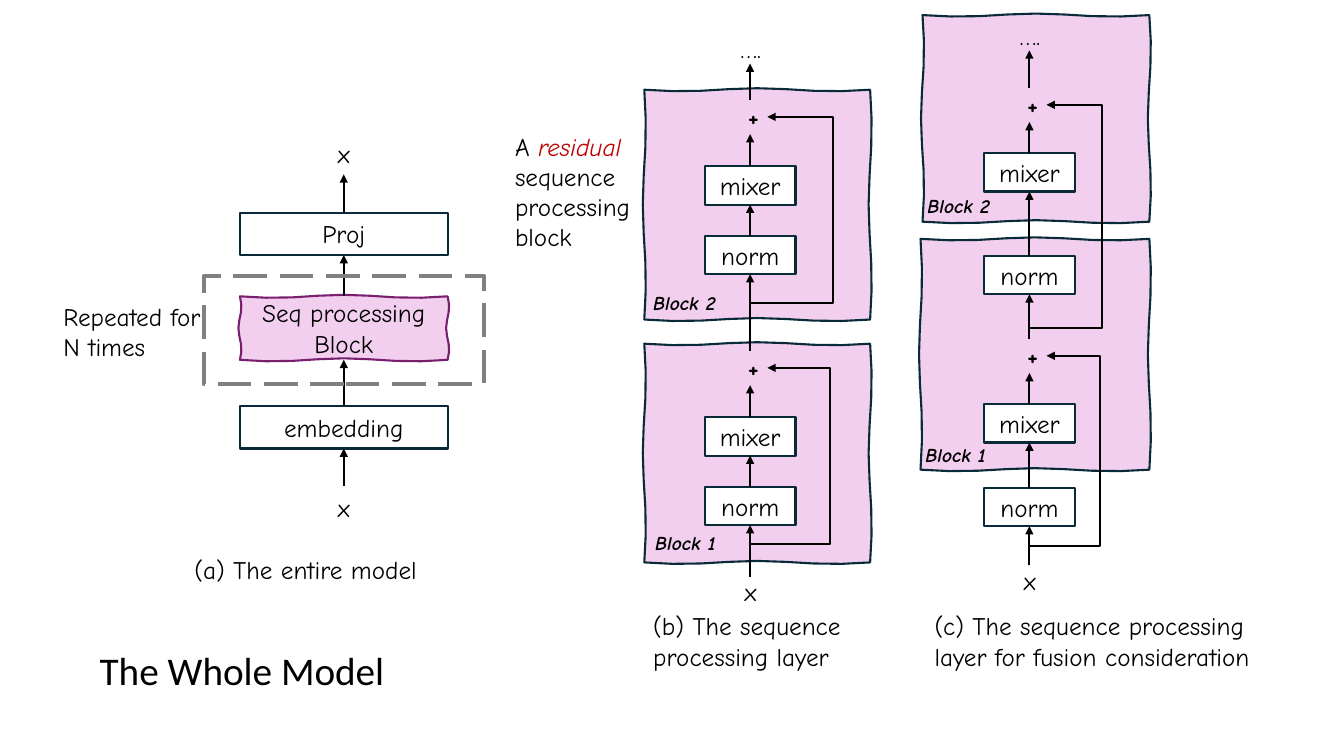
from math import pi, sin

from pptx import Presentation
from pptx.dml.color import RGBColor
from pptx.enum.dml import MSO_LINE
from pptx.enum.shapes import MSO_CONNECTOR, MSO_SHAPE
from pptx.enum.text import MSO_ANCHOR, MSO_AUTO_SIZE, PP_ALIGN
from pptx.oxml.ns import qn
from pptx.oxml.xmlchemy import OxmlElement
from pptx.util import Pt

PX = 9144
FONT = "Comic Neue"
BLACK = RGBColor(0, 0, 0)
WHITE = RGBColor(255, 255, 255)
RED = RGBColor(0xC0, 0, 0)
NAVY = RGBColor(0x09, 0x2A, 0x39)
PLUM = RGBColor(0x78, 0x20, 0x6E)
PINK = RGBColor(0xF2, 0xCF, 0xEE)
GRAY = RGBColor(0x80, 0x80, 0x80)
RECT, OVAL = MSO_SHAPE.RECTANGLE, MSO_SHAPE.OVAL
STRAIGHT, ELBOW = MSO_CONNECTOR.STRAIGHT, MSO_CONNECTOR.ELBOW
LEFT, CENTER = PP_ALIGN.LEFT, PP_ALIGN.CENTER
TOP, MIDDLE = MSO_ANCHOR.TOP, MSO_ANCHOR.MIDDLE

TITLE = ("The Whole Model", (36, 636, 408, 57))
CAPTIONS = [
    ("(a) The entire model", (183, 545, 303, 40)),
    ("(b) The sequence processing layer", (638, 601, 285, 71)),
    ("(c) The sequence processing layer for fusion consideration", (917, 601, 371, 71)),
    ("Repeated for N times", (53, 294, 164, 71)),
]
RESIDUAL = [("A ", {}), ("residual ", {"color": RED, "italic": True}),
            ("sequence processing block", {})]
RESIDUAL_AT = (501, 125, 186, 131)

MODEL_X, MODEL_W, MODEL_H = 238, 206, 42
MODEL_BOXES = [("embedding", 403), ("Proj", 211)]
MODEL_ENDS = [482, 131]
SEQ_BLOCK = ("Seq processing Block", (238, 294, 206, 63))
REPEAT_FRAME = (202, 274, 278, 107)
MODEL_ARROWS = [(482, 445), (403, 357), (294, 253), (211, 173)]

COLUMNS = [
    {"axis": 744, "x": 572, "dots": 33,
     "blocks": [(639, 89, 224, 228), (639, 341, 224, 217)],
     "labels": [("Block 1", 640, 522), ("Block 2", 638, 284)],
     "units": [dict(norm=483, mixer=414, plus=348, tap=540, bend=823),
               dict(norm=234, mixer=165, plus=99, tap=301, bend=826)]},
    {"axis": 1021, "x": 561, "dots": 20,
     "blocks": [(913, 237, 227, 229), (915, 15, 225, 205)],
     "labels": [("Block 1", 908, 434), ("Block 2", 910, 187)],
     "units": [dict(norm=484, mixer=401, plus=336, tap=542, bend=1091),
               dict(norm=254, mixer=152, plus=87, tap=325, bend=1093)]},
]
BOX_W, BOX_H, PLUS, END_W, END_H = 90, 38, 34, 83, 30
STEPS, WOBBLE = 8, 1.5


def emu(values):
    return [v * PX for v in values]


def write(sp, runs, align=CENTER, anchor=MIDDLE, size=18, bold=False, italic=False, font=FONT):
    tf = sp.text_frame
    tf.word_wrap = True
    tf.vertical_anchor = anchor
    p = tf.paragraphs[0]
    p.alignment = align
    for text, style in runs:
        r = p.add_run()
        r.text = text
        r.font.name, r.font.size = font, Pt(size)
        r.font.bold, r.font.italic = bold, style.get("italic", italic)
        r.font.color.rgb = style.get("color", BLACK)


def textbox(at, runs, **style):
    write(s.shapes.add_textbox(*emu(at)), runs, **style)


def paint(sp, fill, line, width=1.5):
    sp.shadow.inherit = False
    if fill is None:
        sp.fill.background()
    else:
        sp.fill.solid()
        sp.fill.fore_color.rgb = fill
    if line is None:
        sp.line.fill.background()
    else:
        sp.line.color.rgb = line
        sp.line.width = Pt(width)


def shape(kind, at, fill=None, line=None, text=None, width=1.5, bold=False):
    sp = s.shapes.add_shape(kind, *emu(at))
    paint(sp, fill, line, width)
    if text:
        write(sp, [(text, {})], bold=bold)
    return sp


def sketch(at, line):
    x, y, w, h = at
    wave = [(i / STEPS, WOBBLE * sin(3 * pi * i / STEPS)) for i in range(STEPS)]
    points = [(x + w * t, y + d) for t, d in wave]
    points += [(x + w + d, y + h * t) for t, d in wave]
    points += [(x + w - w * t, y + h + d) for t, d in wave]
    points += [(x + d, y + h - h * t) for t, d in wave]
    points = [(round(a * PX), round(b * PX)) for a, b in points]
    builder = s.shapes.build_freeform(*points[0], scale=1.0)
    builder.add_line_segments(points[1:], close=True)
    sp = builder.convert_to_shape()
    paint(sp, PINK, line)
    return sp


def arrow(kind, *ends):
    c = s.shapes.add_connector(kind, *emu(ends))
    c.line.color.rgb = BLACK
    c.line.width = Pt(1.5)
    spPr = c.element.spPr
    head = OxmlElement("a:tailEnd")
    head.set("type", "triangle")
    spPr.find(qn("a:ln")).append(head)
    spPr.append(OxmlElement("a:effectLst"))
    return spPr


def skip(x1, y1, x2, y2, bend):
    spPr = arrow(ELBOW, x1, y1, x2, y2)
    gd = OxmlElement("a:gd")
    gd.set("name", "adj1")
    gd.set("fmla", f"val {round((bend - x1) / (x2 - x1) * 100000)}")
    spPr.find(qn("a:prstGeom")).get_or_add_avLst().append(gd)


def draw_model():
    for text, y in MODEL_BOXES:
        shape(RECT, (MODEL_X, y, MODEL_W, MODEL_H), line=NAVY, text=text)
    text, at = SEQ_BLOCK
    write(sketch(at, PLUM), [(text, {})])
    axis = MODEL_X + MODEL_W // 2
    for start, end in MODEL_ARROWS:
        arrow(STRAIGHT, axis, start, axis, end)
    frame = shape(RECT, REPEAT_FRAME, line=GRAY, width=3)
    frame.line.dash_style = MSO_LINE.LONG_DASH
    for y in MODEL_ENDS:
        textbox((MODEL_X, y, MODEL_W, MODEL_H), [("x", {})])


def draw_column(col):
    axis = col["axis"]
    for at in col["blocks"]:
        sketch(at, NAVY)
    start = col["x"]
    for unit in col["units"]:
        for name in ("norm", "mixer"):
            y = unit[name]
            shape(RECT, (axis - BOX_W // 2, y, BOX_W, BOX_H), WHITE, NAVY, name)
            arrow(STRAIGHT, axis, start, axis, y + BOX_H)
            start = y
        plus = unit["plus"]
        shape(OVAL, (axis - PLUS // 2, plus, PLUS, PLUS), text="+", bold=True)
        arrow(STRAIGHT, axis, start, axis, plus + PLUS)
        skip(axis, unit["tap"], axis + PLUS // 2, plus + PLUS // 2, unit["bend"])
        start = plus
    arrow(STRAIGHT, axis, start, axis, col["dots"] + END_H)
    for text, y in (("x", col["x"]), ("….", col["dots"])):
        textbox((axis - END_W // 2, y, END_W, END_H), [(text, {})])
    for text, x, y in col["labels"]:
        textbox((x, y, 111, 34), [(text, {})], align=LEFT, anchor=TOP,
                size=14, bold=True, italic=True)


prs = Presentation()
prs.slide_width, prs.slide_height = emu((1333, 750))
s = prs.slides.add_slide(prs.slide_layouts[5])

title = s.shapes.title
title.left, title.top, title.width, title.height = emu(TITLE[1])
write(title, [(TITLE[0], {})], anchor=TOP, size=28, font="Calibri")
title.text_frame.auto_size = MSO_AUTO_SIZE.NONE

draw_model()
for column in COLUMNS:
    draw_column(column)
textbox(RESIDUAL_AT, RESIDUAL, align=LEFT, anchor=TOP)
for caption, at in CAPTIONS:
    textbox(at, [(caption, {})], align=LEFT, anchor=TOP)

prs.save("out.pptx")
